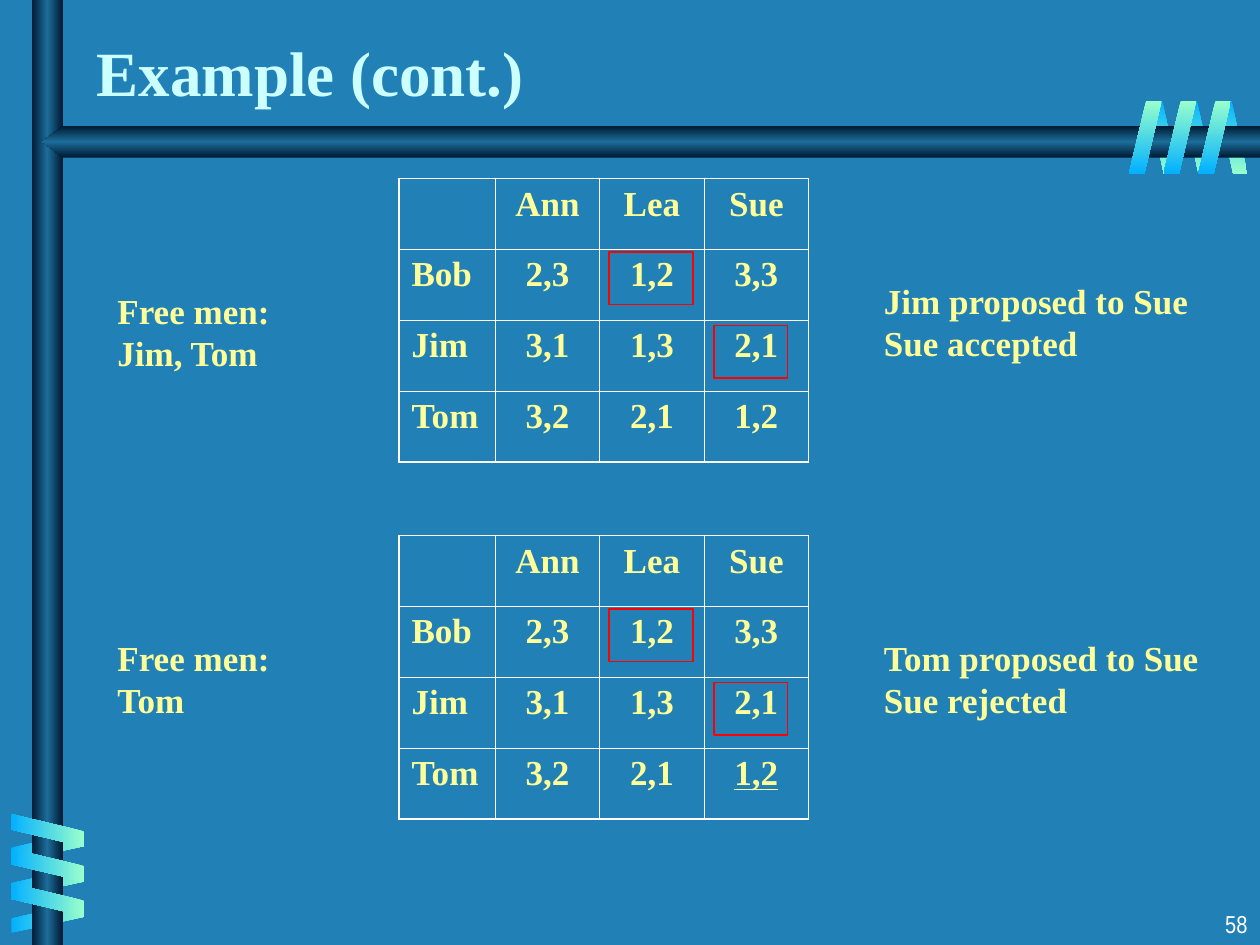
from copy import deepcopy

from lxml import etree
from pptx import Presentation
from pptx.dml.color import RGBColor
from pptx.enum.shapes import MSO_SHAPE
from pptx.enum.text import MSO_ANCHOR, PP_ALIGN
from pptx.oxml.ns import qn
from pptx.util import Pt

RECTANGLE, PARALLELOGRAM = MSO_SHAPE.RECTANGLE, MSO_SHAPE.PARALLELOGRAM
LEFT, CENTER, RIGHT = PP_ALIGN.LEFT, PP_ALIGN.CENTER, PP_ALIGN.RIGHT
BOTTOM = MSO_ANCHOR.BOTTOM

BLUE = RGBColor(0x21, 0x81, 0xB7)
NAVY = RGBColor(0x00, 0x19, 0x32)
STEEL = RGBColor(0x1C, 0x6D, 0x9A)
SKY = RGBColor(0x01, 0xB0, 0xFF)
MINT = RGBColor(0x99, 0xFF, 0xCC)
PALE_CYAN = RGBColor(0xCC, 0xFF, 0xFF)
YELLOW = RGBColor(0xFF, 0xFF, 0x99)
WHITE = RGBColor(0xFF, 0xFF, 0xFF)
RED = RGBColor(0xFF, 0x00, 0x00)

SERIF, NARROW = "Times New Roman", "Arial Narrow"
PREFERENCES = [
    ["", "Ann", "Lea", "Sue"],
    ["Bob", "2,3", "1,2", "3,3"],
    ["Jim", "3,1", "1,3", "2,1"],
    ["Tom", "3,2", "2,1", "1,2"],
]
TABLE_LEFT, NAME_WIDTH, SCORE_WIDTH, ROW_HEIGHT = 228, 55, 59.7, 40.5
MATCHES = [(120, 42, 48, 30), (180, 84, 42, 30)]
STAGES = [
    (102, 162, "Free men:\vJim, Tom", 156, "Jim proposed to Sue\vSue accepted", False),
    (306, 360, "Free men:\vTom", 360, "Tom proposed to Sue\vSue rejected", True),
]


def style_font(font, size, color, name=SERIF, bold=True):
    """Set the typeface, size, colour and weight of a font."""
    font.name, font.size, font.bold = name, Pt(size), bold
    font.color.rgb = color


def fill_gradient(shape, colors, clockwise):
    """Give a shape an unlined linear gradient with evenly spaced colours."""
    shape.shadow.inherit = False
    shape.line.fill.background()
    shape.fill.gradient()
    shape.fill.gradient_angle = (360 - clockwise) % 360
    gradient = shape._element.spPr.find(qn("a:gradFill"))
    gradient.set("rotWithShape", "0")
    stop_list = gradient.find(qn("a:gsLst"))
    for _ in colors[2:]:
        stop_list.append(deepcopy(stop_list[0]))
    for index, (stop, color) in enumerate(zip(shape.fill.gradient_stops, colors)):
        stop.position = index / (len(colors) - 1)
        stop.color.rgb = color


def draw_coil(page, box, step, colors, clockwise, rotation=0, flipped=False):
    """Draw three slanted bands, the first in the box and the rest by steps."""
    left, top, width, height = box
    for index in range(3):
        band = page.shapes.add_shape(
            PARALLELOGRAM, Pt(left + index * step[0]), Pt(top + index * step[1]),
            Pt(width), Pt(height))
        band.adjustments[0] = 0.53
        band.rotation = rotation
        if flipped:
            band._element.spPr.find(qn("a:xfrm")).set("flipH", "1")
        fill_gradient(band, colors, clockwise)


def draw_rails(page):
    """Draw the upright rail and the pointed level rail across it."""
    rail_colors = [NAVY, STEEL, NAVY]
    upright = page.shapes.add_shape(RECTANGLE, Pt(18), Pt(0), Pt(18), Pt(540))
    fill_gradient(upright, rail_colors, 180)
    outline = page.shapes.build_freeform(Pt(720), Pt(72))
    outline.add_line_segments(
        [(Pt(x), Pt(y)) for x, y in [(36, 72), (24, 81), (36, 90), (720, 90)]])
    fill_gradient(outline.convert_to_shape(), rail_colors, 90)


def draw_decoration(page):
    """Draw the rails with a coil wound around each."""
    draw_coil(page, (656, 57.6, 17.3, 41.8), (19.8, 0), [SKY, MINT], 90, flipped=True)
    draw_coil(page, (18.7, 463, 17.3, 41.8), (0, 20.2), [SKY, MINT], 180, 90, True)
    draw_rails(page)
    draw_coil(page, (17.7, 453.6, 18.7, 41.8), (0, 19.8), [MINT, SKY], 180, 270)
    draw_coil(page, (645.1, 57.6, 18.7, 41.8), (19.8, 0), [MINT, SKY], 90)


def place_title(page, left, top, width, height):
    """Place and format the slide title."""
    title = page.shapes.title
    title.left, title.top, title.width, title.height = map(Pt, (left, top, width, height))
    title.text_frame.text = "Example (cont.)"
    title.text_frame.vertical_anchor = BOTTOM
    para = title.text_frame.paragraphs[0]
    para.alignment = LEFT
    style_font(para.font, 36, PALE_CYAN)


def place_text(page, box, text, alignment=LEFT):
    """Add a wrapping text box and return its paragraph."""
    frame = page.shapes.add_textbox(*map(Pt, box)).text_frame
    frame.word_wrap = True
    para = frame.paragraphs[0]
    para.text, para.alignment = text, alignment
    style_font(para.font, 20, YELLOW)
    return para


def set_borders(cell, outer):
    """Draw white borders, heavier on the sides named as outer."""
    properties = cell._tc.get_or_add_tcPr()
    for side in "LRTB":
        width = Pt(1.08 if side in outer else 0.45)
        line = etree.SubElement(properties, qn(f"a:ln{side}"), w=str(int(width)))
        solid = etree.SubElement(line, qn("a:solidFill"))
        etree.SubElement(solid, qn("a:srgbClr"), val=str(WHITE))


def place_table(page, left, top, rejected):
    """Add the preference table, underlining the last score if rejected."""
    size = len(PREFERENCES)
    table = page.shapes.add_table(
        size, size, Pt(left), Pt(top),
        Pt(NAME_WIDTH + 3 * SCORE_WIDTH), Pt(size * ROW_HEIGHT)).table
    table.first_row = table.horz_banding = False
    last = size - 1
    for index in range(size):
        table.rows[index].height = Pt(ROW_HEIGHT)
        table.columns[index].width = Pt(SCORE_WIDTH if index else NAME_WIDTH)
    for row, values in enumerate(PREFERENCES):
        for column, value in enumerate(values):
            cell = table.cell(row, column)
            edges = {"L": column == 0, "R": column == last, "T": row == 0, "B": row == last}
            set_borders(cell, [side for side, outer in edges.items() if outer])
            cell.fill.background()
            cell.text = value
            para = cell.text_frame.paragraphs[0]
            para.alignment = CENTER if column else LEFT
            style_font(para.font, 20, YELLOW)
            if rejected and row == column == last:
                para.font.underline = True


def mark_matches(page, left, top):
    """Outline the engaged pairs in the table at the given corner."""
    for across, down, width, height in MATCHES:
        frame = page.shapes.add_shape(
            RECTANGLE, Pt(left + across), Pt(top + down), Pt(width), Pt(height))
        frame.shadow.inherit = False
        frame.fill.background()
        frame.line.color.rgb = RED
        frame.line.width = Pt(1)


def main():
    """Build the slide and save the deck."""
    deck = Presentation()
    deck.slide_width, deck.slide_height = Pt(720), Pt(540)
    page = deck.slides.add_slide(deck.slide_layouts[5])
    page.background.fill.solid()
    page.background.fill.fore_color.rgb = BLUE
    draw_decoration(page)
    place_title(page, 48, 12, 598, 54)
    for table_top, free_top, free_men, event_top, event, rejected in STAGES:
        place_text(page, (60, free_top, 162, 55), free_men)
        place_table(page, TABLE_LEFT, table_top, rejected)
        place_text(page, (498, event_top, 204, 55), event)
        mark_matches(page, TABLE_LEFT, table_top)
    number = place_text(page, (570, 516, 150, 24), "58", RIGHT)
    style_font(number.font, 14, WHITE, NARROW, False)
    deck.save("out.pptx")


if __name__ == "__main__":
    main()
